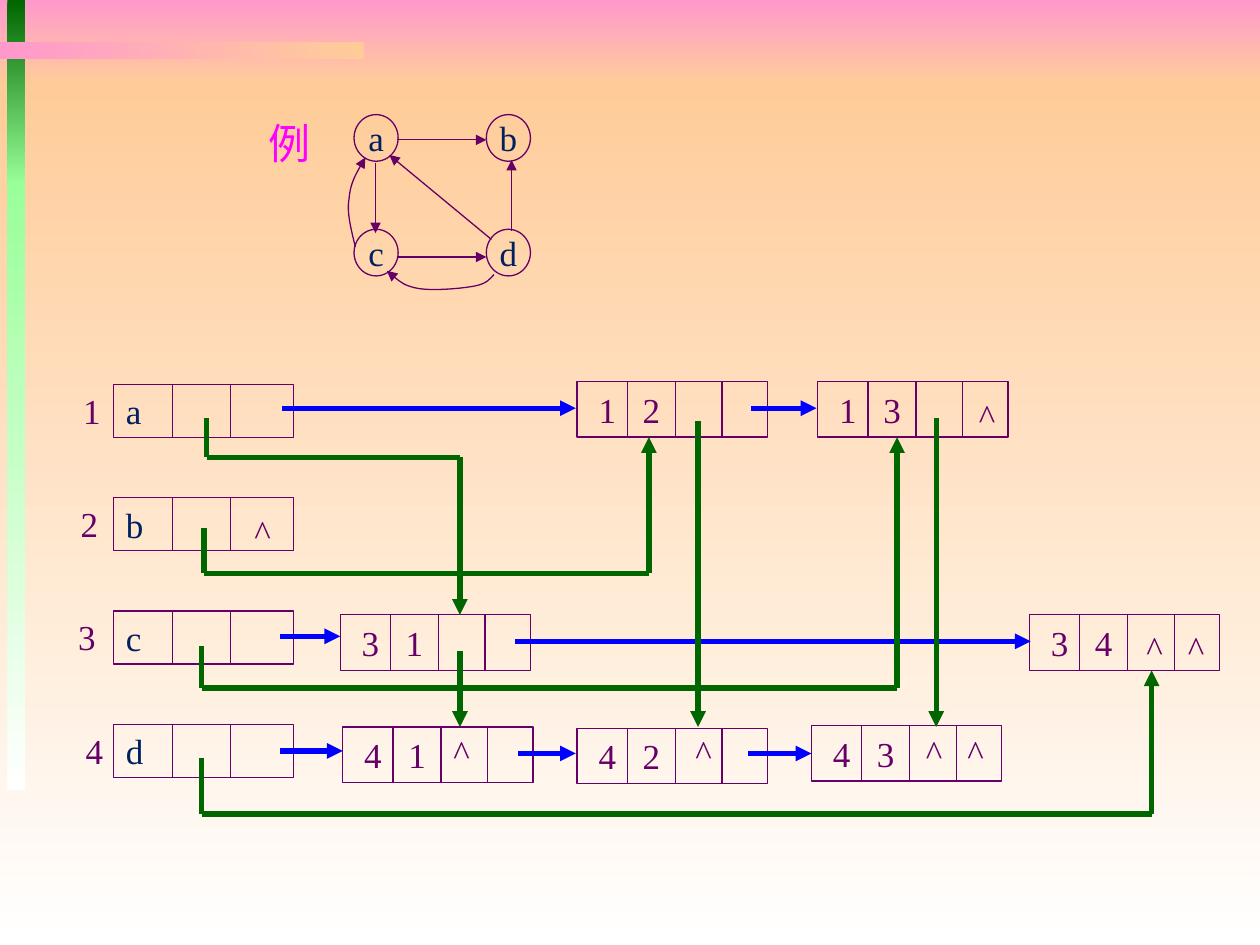
from lxml import etree
from pptx import Presentation
from pptx.dml.color import RGBColor
from pptx.enum.shapes import MSO_CONNECTOR, MSO_SHAPE
from pptx.enum.text import MSO_ANCHOR, PP_ALIGN
from pptx.oxml.ns import qn
from pptx.util import Inches, Pt

RECT, OVAL = MSO_SHAPE.RECTANGLE, MSO_SHAPE.OVAL
LINE = MSO_CONNECTOR.STRAIGHT
LEFT, MID = PP_ALIGN.LEFT, PP_ALIGN.CENTER
TOP, CORE = MSO_ANCHOR.TOP, MSO_ANCHOR.MIDDLE
PLUM, NAVY, BLUE, GREEN, PINK = "660066", "002060", "0000FF", "006600", "FF00FF"
FONT = "Times New Roman"
hue = RGBColor.from_string

deck = Presentation()
deck.slide_width, deck.slide_height = Inches(10), Inches(7.5)
unit = deck.slide_width // 10  # the grid is 10 columns by 7.5 rows
slide = deck.slides.add_slide(deck.slide_layouts[5])
shapes = slide.shapes


def box(kind, x, y, w, h, text, color, align=MID, anchor=CORE):
    """Add an outlined shape, or a plain text box when kind is None."""
    place = [round(v * unit) for v in (x, y, w, h)]
    if kind is None:
        item = shapes.add_textbox(*place)
    else:
        item = shapes.add_shape(kind, *place)
        item.shadow.inherit = False
        item.fill.background()
        item.line.color.rgb = hue(PLUM)
        item.line.width = Pt(0.75)
    frame = item.text_frame
    frame.word_wrap = w > 1
    frame.vertical_anchor = anchor
    frame.text = text
    para = frame.paragraphs[0]
    para.alignment = align
    if "\t" in text:
        frame.margin_left = round(0.17 * unit)
        tabs = etree.SubElement(para._p.get_or_add_pPr(), qn("a:tabLst"))
        etree.SubElement(tabs, qn("a:tab"), pos=str(round(0.35 * unit)), algn="l")
    para.font.name, para.font.size = FONT, Pt(20)
    para.font.color.rgb = hue(color)


def wire(spots, color=PLUM, width=0.75, head=True):
    """Join the spots with straight lines, the last one with an arrowhead."""
    for (x1, y1), (x2, y2) in zip(spots, spots[1:]):
        link = shapes.add_connector(LINE, *[round(v * unit) for v in (x1, y1, x2, y2)])
        link.line.color.rgb = hue(color)
        link.line.width = Pt(width)
        etree.SubElement(link._element.spPr, qn("a:effectLst"))
    if head:
        etree.SubElement(link.line._get_or_add_ln(), qn("a:tailEnd"), type="triangle")


# Backdrop and bars
for x, y, w, h, start, end, angle in [
    (0, 0, 10, 0.67, "FF99CC", "FFCC99", 270),
    (0, 0.67, 10, 6.83, "FFCC99", "FFFFFF", 270),
    (0.06, 0, 0.14, 1.47, "006600", "99FF99", 270),
    (0.06, 1.46, 0.14, 4.81, "99FF99", "FFFFFF", 270),
    (0, 0.33, 2.89, 0.14, "FF99CC", "FFCC99", 0),
]:
    bar = shapes.add_shape(RECT, *[round(v * unit) for v in (x, y, w, h)])
    bar.shadow.inherit = False
    bar.line.fill.background()
    bar.fill.gradient()
    bar.fill.gradient_angle = angle
    for stop, color, spot in zip(bar.fill.gradient_stops, (start, end), (0, 1)):
        stop.color.rgb = hue(color)
        stop.position = spot

# Title, lifted above the backdrop
title = shapes.title
shapes._spTree.append(title._element)
title.left, title.top, title.width, title.height = [
    round(v * unit) for v in (2.03, 0.88, 0.54, 0.51)]
title.text_frame.text = "例"
title.text_frame.word_wrap = False
title.text_frame.vertical_anchor = CORE
para = title.text_frame.paragraphs[0]
para.alignment = MID
para.font.name, para.font.size = FONT, Pt(24)
para.font.color.rgb = hue(PINK)

# Directed graph
for i, name in enumerate("abcd"):
    box(OVAL, 2.81 + i % 2 * 1.05, 0.91 + i // 2 * 0.91, 0.35, 0.37, name, NAVY)
for arc in [
    [(3.15, 1.11), (3.86, 1.11)],
    [(3.15, 2.04), (3.86, 2.04)],
    [(2.98, 1.29), (2.98, 1.85)],
    [(3.9, 1.9), (3.09, 1.23)],
    [(4.06, 1.83), (4.06, 1.27)],
]:
    wire(arc)

# Curved arcs: each three points after the first make one Bezier piece
for arc in [
    [(3.92, 2.18), (3.89, 2.21), (3.87, 2.25), (3.77, 2.27), (3.67, 2.29),
     (3.44, 2.31), (3.32, 2.29), (3.21, 2.27), (3.14, 2.21), (3.07, 2.15)],
    [(2.82, 1.96), (2.79, 1.83), (2.75, 1.69), (2.77, 1.58),
     (2.78, 1.46), (2.84, 1.35), (2.9, 1.25)],
]:
    start, *rest = [(round(x * unit), round(y * unit)) for x, y in arc]
    pen = shapes.build_freeform(*start)
    pen.add_line_segments(rest, close=False)
    bend = pen.convert_to_shape()
    bend.shadow.inherit = False
    bend.fill.background()
    bend.line.color.rgb = hue(PLUM)
    bend.line.width = Pt(0.75)
    etree.SubElement(bend.line._get_or_add_ln(), qn("a:tailEnd"), type="triangle")
    steps = list(bend._element.iter(qn("a:lnTo")))
    trail = steps[0].getparent()
    for i in range(0, len(steps), 3):
        curve = etree.SubElement(trail, qn("a:cubicBezTo"))
        for step in steps[i:i + 3]:
            curve.append(step[0])
            trail.remove(step)

# Vertex list
for i, (name, x) in enumerate(zip("abcd", (0.56, 0.54, 0.52, 0.58))):
    y = 3.05 + i * 0.9
    box(RECT, 0.9, y, 1.43, 0.42, name, NAVY, LEFT)
    for col in (1.37, 1.83):
        wire([(col, y), (col, y + 0.42)], head=False)
    box(None, x, y - 0.01, 0.34, 0.43, str(i + 1), PLUM)

# Arc nodes
for x, y, text in [
    (4.58, 3.03, "1\t2"), (6.49, 3.03, "1\t3"),
    (2.7, 4.88, "3\t1"), (8.17, 4.88, "3\t4"),
    (2.72, 5.77, "4\t1"), (4.58, 5.78, "4\t2"), (6.44, 5.76, "4\t3"),
]:
    box(RECT, x, y, 1.51, 0.44, text, PLUM, LEFT)
    for cut in (0.4, 0.78, 1.15):
        wire([(x + cut, y), (x + cut, y + 0.44)], head=False)

# Row links
for x1, x2, y in [
    (2.24, 4.57, 3.24), (5.96, 6.48, 3.24),
    (2.22, 2.7, 5.05), (4.09, 8.18, 5.09),
    (2.22, 2.72, 5.96), (4.11, 4.57, 5.98), (5.94, 6.44, 5.98),
]:
    wire([(x1, y), (x2, y)], BLUE, 3)

# Column links, bent ones first
for x1, y1, turn, x2, y2 in [
    (1.64, 3.32, 3.63, 3.65, 4.88),
    (1.62, 4.19, 4.55, 5.15, 3.47),
    (1.6, 5.13, 5.46, 7.12, 3.47),
    (1.6, 6.02, 6.46, 9.14, 5.32),
]:
    wire([(x1, y1), (x1, turn), (x2, turn), (x2, y2)], GREEN, 3)
for x, y in [(3.65, 5.17), (5.54, 3.34), (7.43, 3.32)]:
    wire([(x, y), (x, 5.77)], GREEN, 3)

# Null links
for x, y in [
    (7.67, 3.08), (1.92, 4), (9, 4.92), (9.33, 4.92),
    (3.5, 5.75), (5.42, 5.75), (7.25, 5.75), (7.58, 5.75),
]:
    box(None, x, y, 0.33, 0.43, "^", PLUM, LEFT, TOP)

deck.save("out.pptx")
